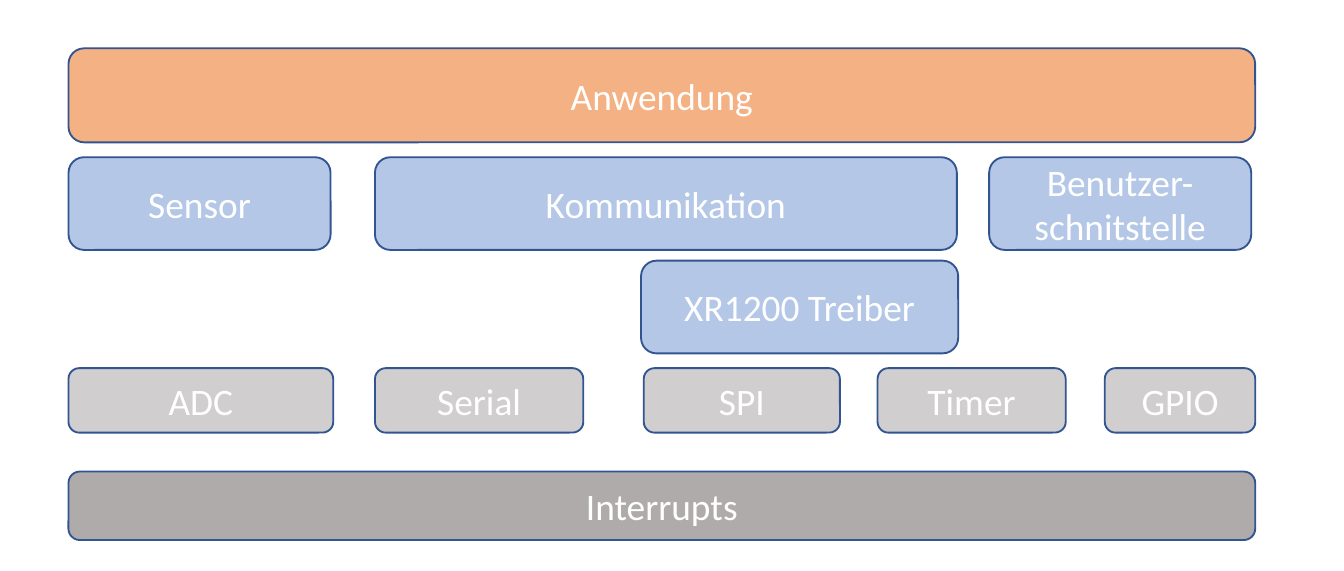
from pptx import Presentation
from pptx.dml.color import RGBColor
from pptx.enum.shapes import MSO_SHAPE
from pptx.enum.text import MSO_ANCHOR, PP_ALIGN
from pptx.util import Inches, Pt


def color(value):
    return RGBColor.from_string(value)


presentation = Presentation()
presentation.slide_width = Inches(10)
presentation.slide_height = Inches(4.25)
slide = presentation.slides.add_slide(presentation.slide_layouts[6])

layers = [
    (0.36, 0.7, "F4B183", [("Anwendung", 0.51, 8.83)]),
    (1.17, 0.69, "B4C7E7", [
        ("Sensor", 0.51, 1.95),
        ("Kommunikation", 2.79, 4.33),
        ("Benutzer-schnitstelle", 7.36, 1.95),
    ]),
    (1.94, 0.69, "B4C7E7", [("XR1200 Treiber", 4.77, 2.36)]),
    (2.74, 0.48, "D0CECE", [
        ("ADC", 0.51, 1.97),
        ("Serial", 2.79, 1.55),
        ("SPI", 4.79, 1.46),
        ("Timer", 6.53, 1.4),
        ("GPIO", 8.22, 1.12),
    ]),
    (3.51, 0.51, "AFABAB", [("Interrupts", 0.51, 8.83)]),
]

for top, height, fill, modules in layers:
    for name, left, width in modules:
        shape = slide.shapes.add_shape(
            MSO_SHAPE.ROUNDED_RECTANGLE,
            Inches(left), Inches(top), Inches(width), Inches(height),
        )
        shape.shadow.inherit = False
        shape.fill.solid()
        shape.fill.fore_color.rgb = color(fill)
        shape.line.color.rgb = color("325491")
        shape.line.width = Pt(1)
        text_frame = shape.text_frame
        text_frame.word_wrap = True
        text_frame.vertical_anchor = MSO_ANCHOR.MIDDLE
        paragraph = text_frame.paragraphs[0]
        paragraph.alignment = PP_ALIGN.CENTER
        run = paragraph.add_run()
        run.text = name
        run.font.name = "Calibri"
        run.font.size = Pt(20)
        run.font.color.rgb = color("FFFFFF")

presentation.save("out.pptx")
